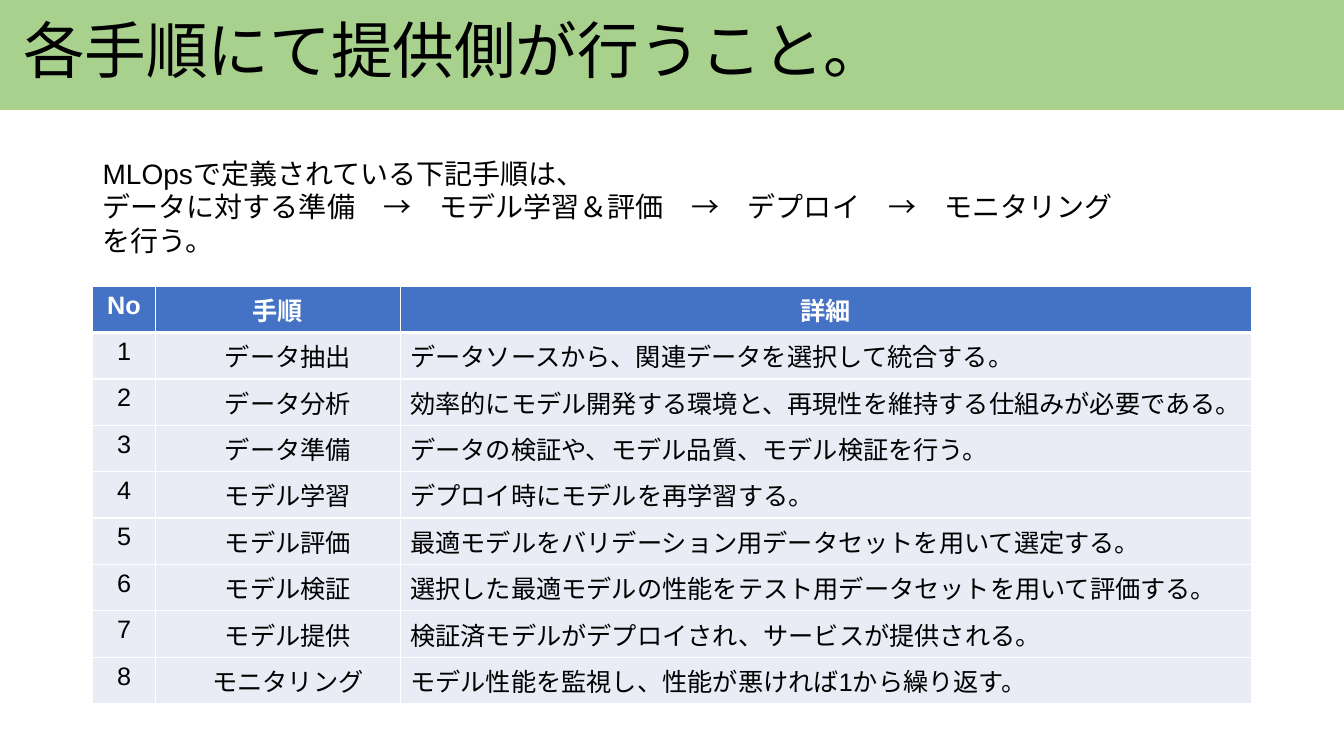
from lxml import etree
from pptx import Presentation
from pptx.dml.color import RGBColor
from pptx.enum import lang, shapes, text
from pptx.oxml.ns import qn
from pptx.util import Inches, Pt

COLORS = {
    "band": "A9D18E",
    "header": "4472C4",
    "row": "E9EBF5",
    "white": "FFFFFF",
    "black": "000000",
}
INTRO = [
    "MLOpsで定義されている下記手順は、",
    "データに対する準備　→　モデル学習＆評価　→　デプロイ　→　モニタリング",
    "を行う。",
]
HEADINGS = ("No", "手順", "詳細")
STEPS = [
    ("データ抽出", "データソースから、関連データを選択して統合する。"),
    ("データ分析", "効率的にモデル開発する環境と、再現性を維持する仕組みが必要である。"),
    ("データ準備", "データの検証や、モデル品質、モデル検証を行う。"),
    ("モデル学習", "デプロイ時にモデルを再学習する。"),
    ("モデル評価", "最適モデルをバリデーション用データセットを用いて選定する。"),
    ("モデル検証", "選択した最適モデルの性能をテスト用データセットを用いて評価する。"),
    ("モデル提供", "検証済モデルがデプロイされ、サービスが提供される。"),
    ("モニタリング", "モデル性能を監視し、性能が悪ければ1から繰り返す。"),
]
COLUMN_WIDTHS = (0.62, 2.43, 8.44)
ROW_HEIGHT = 0.46
STEP_INDENT = 0.2


def rgb(name):
    return RGBColor.from_string(COLORS[name])


def write_line(paragraph, wording, size, color="black", bold=False, **layout):
    run = paragraph.add_run()
    run.text = wording
    style = {
        "name": "Arial",
        "size": Pt(size),
        "bold": bold,
        "language_id": lang.MSO_LANGUAGE_ID.JAPANESE,
    }
    for key, value in style.items():
        setattr(run.font, key, value)
    run.font.color.rgb = rgb(color)
    for key, value in layout.items():
        setattr(paragraph, key, value)


def add_band(slide):
    band = slide.shapes.add_shape(
        shapes.MSO_SHAPE.RECTANGLE, 0, Inches(-0.03), Inches(13.33), Inches(1.12)
    )
    band.shadow.inherit = False
    band.fill.solid()
    band.fill.fore_color.rgb = rgb("band")
    band.line.fill.background()


def add_lines(slide, box, lines, size, spacing, anchor):
    frame = slide.shapes.add_textbox(*map(Inches, box)).text_frame
    frame.word_wrap = True
    frame.vertical_anchor = anchor
    for index, line in enumerate(lines):
        paragraph = frame.add_paragraph() if index else frame.paragraphs[0]
        write_line(paragraph, line, size, line_spacing=spacing)


def set_borders(cell, bottom_width):
    """Draw white cell edges; they must precede the fill in the cell XML."""
    properties = cell._tc.get_or_add_tcPr()
    widths = {"lnL": 1, "lnR": 1, "lnT": 1, "lnB": bottom_width}
    for position, (edge, width) in enumerate(widths.items()):
        line = etree.Element(qn(f"a:{edge}"), w=str(Pt(width)))
        fill = etree.SubElement(line, qn("a:solidFill"))
        etree.SubElement(fill, qn("a:srgbClr"), val=COLORS["white"])
        properties.insert(position, line)


def fill_cell(cell, wording, is_header, column):
    cell.fill.solid()
    cell.fill.fore_color.rgb = rgb("header" if is_header else "row")
    set_borders(cell, 3 if is_header else 1)
    paragraph = cell.text_frame.paragraphs[0]
    centred = is_header or column < 2
    write_line(
        paragraph,
        wording,
        18,
        color="white" if is_header else "black",
        bold=is_header,
        alignment=text.PP_ALIGN.CENTER if centred else text.PP_ALIGN.LEFT,
    )
    if column == 1 and not is_header:
        paragraph._p.get_or_add_pPr().set("marL", str(Inches(STEP_INDENT)))


def add_steps_table(slide):
    rows = [HEADINGS]
    rows += [(str(number), *step) for number, step in enumerate(STEPS, 1)]
    table = slide.shapes.add_table(
        len(rows), len(HEADINGS), Inches(0.92), Inches(2.84),
        Inches(sum(COLUMN_WIDTHS)), Inches(ROW_HEIGHT * len(rows)),
    ).table
    for column, width in zip(table.columns, COLUMN_WIDTHS):
        column.width = Inches(width)
    for row_index, row in enumerate(rows):
        for column_index, wording in enumerate(row):
            cell = table.cell(row_index, column_index)
            fill_cell(cell, wording, row_index == 0, column_index)


def main():
    deck = Presentation()
    deck.slide_width, deck.slide_height = Inches(13.33), Inches(7.5)
    slide = deck.slides.add_slide(deck.slide_layouts[6])
    add_band(slide)
    add_lines(slide, (0.13, 0.19, 12.19, 0.69), ["各手順にて提供側が行うこと。"],
              44, 0.9, text.MSO_ANCHOR.MIDDLE)
    add_lines(slide, (0.92, 1.5, 11.5, 1.03), INTRO,
              20, 1.0, text.MSO_ANCHOR.TOP)
    add_steps_table(slide)
    deck.save("out.pptx")


if __name__ == "__main__":
    main()
